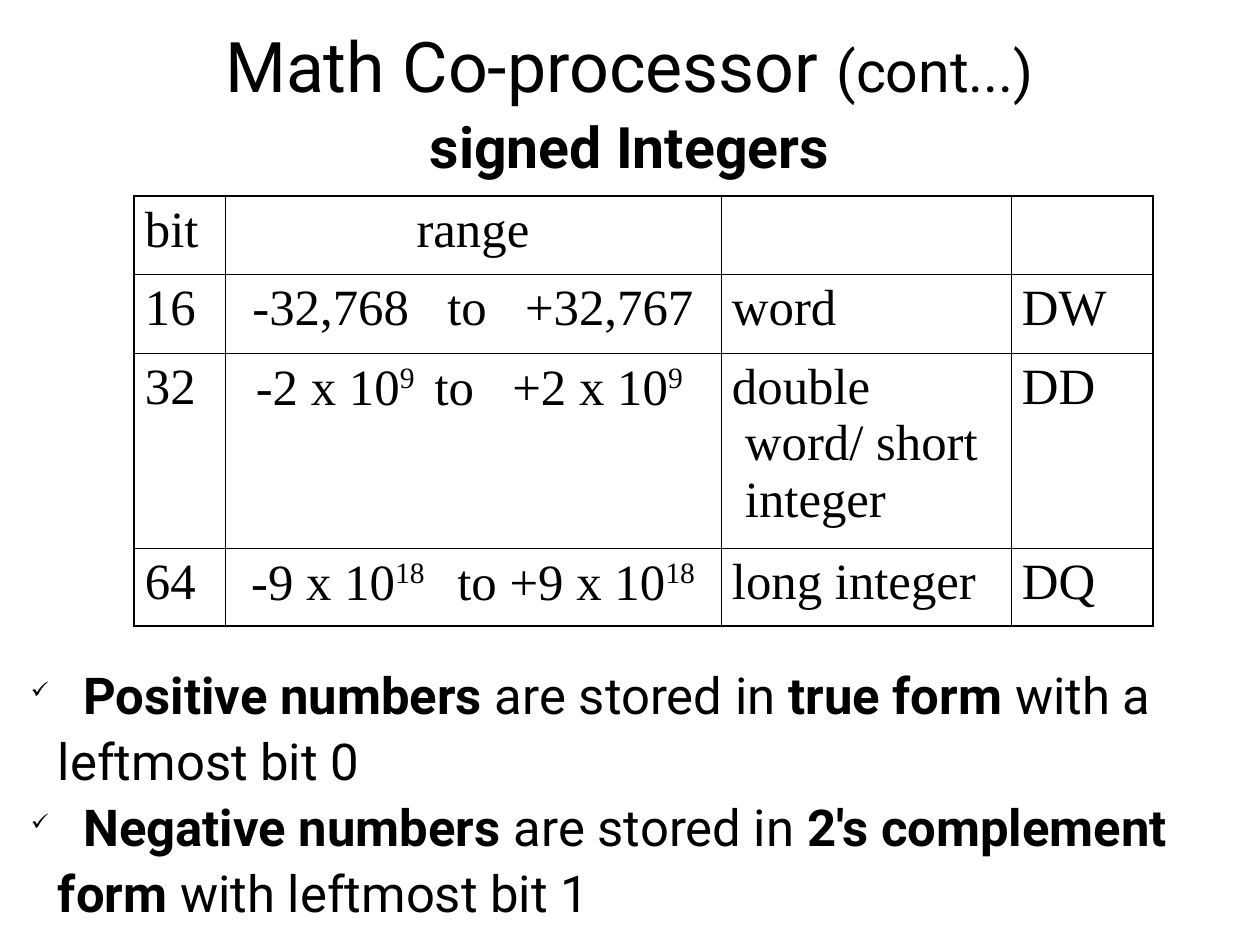
from lxml import etree
from pptx import Presentation
from pptx.dml.color import RGBColor
from pptx.enum.text import MSO_ANCHOR, PP_ALIGN
from pptx.oxml.ns import qn
from pptx.util import Pt

LEFT, CENTER = PP_ALIGN.LEFT, PP_ALIGN.CENTER
TOP, MIDDLE = MSO_ANCHOR.TOP, MSO_ANCHOR.MIDDLE
PX = 8000
COLORS = {"ink": "000000", "paper": "FFFFFF"}
SANS, SERIF = "Roboto", "Times New Roman"
THIN, THICK = 0.45, 1.08

WIDE_GAP = (" ", {"gap": 16})
NARROW_GAP = (" ", {"gap": 8})
BREAK = ("\n", {})
BOLD, SUPER = {"bold": True}, {"raised": True}

TITLE = [
    [("Math Co-processor ", {"size": 44}), ("(cont...)", {}), BREAK,
     ("signed Integers", BOLD)],
]
COLUMNS = [91, 496, 290, 142]
ROWS = [78, 79, 194, 78]
CELLS = [
    ["bit", [("range", {})], "", ""],
    ["16", [("-32,768", {}), WIDE_GAP, ("to", {}), WIDE_GAP, ("+32,767", {})],
     "word", "DW"],
    ["32", [("-2 x 10", {}), ("9 ", SUPER), (" to", {}), WIDE_GAP,
            ("+2 x 10", {}), ("9 ", SUPER)],
     "double word/ short integer", "DD"],
    ["64", [("-9 x 10", {}), ("18 ", SUPER), NARROW_GAP, ("to +9 x 10", {}),
            ("18", SUPER)],
     "long integer", "DQ"],
]
NOTES = [
    [NARROW_GAP, ("Positive numbers", BOLD), (" are stored in ", {}),
     ("true form ", BOLD), ("with a leftmost bit 0", {})],
    [NARROW_GAP, ("Negative numbers ", BOLD), ("are stored in ", {}),
     ("2's complement form ", BOLD), ("with leftmost bit 1", {})],
]


def px(n):
    return n * PX


def rgb(name):
    return RGBColor.from_string(COLORS[name])


def add_run(p, text, size=32, font=SANS, bold=False, raised=False, gap=0):
    if text == "\n":
        p.add_line_break()
        return
    r = p.add_run()
    r.text = text
    r.font.size = Pt(size)
    r.font.name = font
    r.font.bold = bold
    r.font.color.rgb = rgb("ink")
    rPr = r.font._element
    if raised:
        rPr.set("baseline", "33000")
    if gap:
        rPr.set("spc", str(gap * 100))


def write(tf, paragraphs, align=LEFT, spacing=1.0, before=0, margin=0, indent=0,
          bullet=None, **font):
    for i, runs in enumerate(paragraphs):
        p = tf.add_paragraph() if i else tf.paragraphs[0]
        p.alignment = align
        p.line_spacing = spacing
        p.space_before = Pt(before)
        pPr = p._p.get_or_add_pPr()
        pPr.set("marL", str(px(margin)))
        pPr.set("indent", str(px(indent)))
        if bullet:
            clr = etree.SubElement(pPr, qn("a:buClr"))
            etree.SubElement(clr, qn("a:srgbClr"), val=COLORS["ink"])
            etree.SubElement(pPr, qn("a:buSzPct"), val="45000")
            etree.SubElement(pPr, qn("a:buChar"), char=bullet)
        for text, extra in runs:
            add_run(p, text, **{**font, **extra})


def add_text_box(s, box, inset_x, inset_y, anchor):
    tf = s.shapes.add_textbox(*map(px, box)).text_frame
    tf.word_wrap = True
    tf.vertical_anchor = anchor
    tf.margin_left = tf.margin_right = px(inset_x)
    tf.margin_top = tf.margin_bottom = px(inset_y)
    return tf


def add_title(s, box):
    tf = add_text_box(s, box, 0, 0, MIDDLE)
    write(tf, TITLE, align=CENTER, spacing=1.08, size=36)


def set_borders(cell, widths):
    tcPr = cell._tc.get_or_add_tcPr()
    for i, (side, width) in enumerate(zip("LRTB", widths)):
        ln = etree.Element(qn("a:ln" + side), w=str(Pt(width)))
        fill = etree.SubElement(ln, qn("a:solidFill"))
        etree.SubElement(fill, qn("a:srgbClr"), val=COLORS["ink"])
        tcPr.insert(i, ln)


def add_range_table(s, box):
    last_row, last_col = len(ROWS) - 1, len(COLUMNS) - 1
    table = s.shapes.add_table(len(ROWS), len(COLUMNS), *map(px, box)).table
    table.first_row = table.horz_banding = False
    for column, width in zip(table.columns, COLUMNS):
        column.width = px(width)
    for row, height in zip(table.rows, ROWS):
        row.height = px(height)
    for i, row in enumerate(CELLS):
        for j, content in enumerate(row):
            cell = table.cell(i, j)
            cell.fill.background()
            outer = (j == 0, j == last_col, i == 0, i == last_row)
            set_borders(cell, [THICK if edge else THIN for edge in outer])
            cell.margin_left = cell.margin_right = px(11)
            cell.margin_top = cell.margin_bottom = px(6)
            if content:
                runs = [(content, {})] if isinstance(content, str) else content
                has_power = any(extra == SUPER for _, extra in runs)
                write(cell.text_frame, [runs], align=CENTER if j == 1 else LEFT,
                      spacing=1.02 if has_power else 1.0, before=8,
                      margin=13, indent=-13, font=SERIF)


def add_notes(s, box):
    tf = add_text_box(s, box, 11, 6, TOP)
    write(tf, NOTES, spacing=1.08, margin=27, indent=-27, bullet="✓")


def main():
    prs = Presentation()
    prs.slide_width, prs.slide_height = px(1260), px(945)
    s = prs.slides.add_slide(prs.slide_layouts[6])
    s.background.fill.solid()
    s.background.fill.fore_color.rgb = rgb("paper")
    add_title(s, (63, 38, 1133, 120))
    add_notes(s, (20, 653, 1221, 275))
    add_range_table(s, (134, 196, sum(COLUMNS), sum(ROWS)))
    prs.save("out.pptx")


if __name__ == "__main__":
    main()
